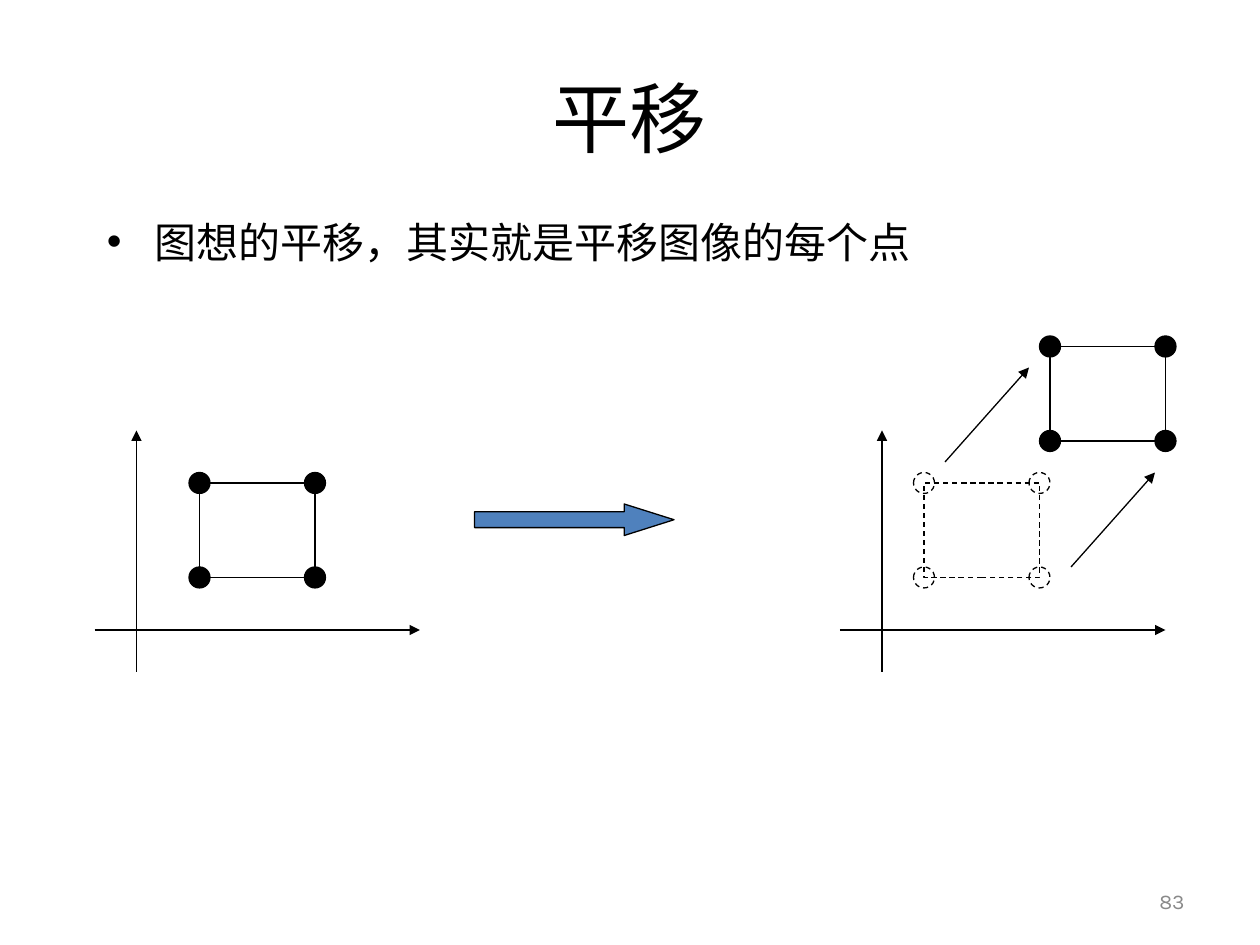
from lxml.etree import SubElement
from pptx import Presentation
from pptx.dml.color import RGBColor
from pptx.enum.dml import MSO_LINE
from pptx.enum.shapes import MSO_CONNECTOR, MSO_SHAPE
from pptx.enum.text import MSO_ANCHOR, PP_ALIGN
from pptx.oxml.ns import qn
from pptx.util import Inches, Pt

BLACK = RGBColor(0x00, 0x00, 0x00)
BLUE = RGBColor(0x4F, 0x81, 0xBD)
GRAY = RGBColor(0x89, 0x89, 0x89)

prs = Presentation()
prs.slide_width, prs.slide_height = Inches(10), Inches(7.5)
COL = prs.slide_width / 120
ROW = prs.slide_height / 90
s = prs.slides.add_slide(prs.slide_layouts[6])


def grid(x, y, w, h):
    return [round(n) for n in (x * COL, y * ROW, w * COL, h * ROW)]


def add_shape(kind, box, fill=None, dash=None):
    sp = s.shapes.add_shape(kind, *grid(*box))
    sp.shadow.inherit = False
    if fill is None:
        sp.fill.background()
    else:
        sp.fill.solid()
        sp.fill.fore_color.rgb = fill
    sp.line.color.rgb = BLACK
    for name, value in {"width": Pt(0.75), "dash_style": dash}.items():
        setattr(sp.line, name, value)
    return sp


texts = [
    ("83", (86, 83.4, 28, 4.8), MSO_ANCHOR.MIDDLE,
     {"alignment": PP_ALIGN.RIGHT}, {"name": "Karla", "size": Pt(12)}, GRAY),
    ("平移", (6, 3.6, 108, 15), MSO_ANCHOR.MIDDLE,
     {"alignment": PP_ALIGN.CENTER}, {"name": "Calibri", "size": Pt(44)}, BLACK),
    ("图想的平移，其实就是平移图像的每个点", (9, 20, 102, 54), MSO_ANCHOR.TOP,
     {"alignment": PP_ALIGN.LEFT, "space_before": Pt(4.8)},
     {"name": "Calibri", "size": Pt(24)}, BLACK),
]
for text, box, anchor, para, font, color in texts:
    tf = s.shapes.add_textbox(*grid(*box)).text_frame
    for name, value in {"word_wrap": True, "vertical_anchor": anchor}.items():
        setattr(tf, name, value)
    p = tf.paragraphs[0]
    for name, value in para.items():
        setattr(p, name, value)
    r = p.add_run()
    r.text = text
    for name, value in font.items():
        setattr(r.font, name, value)
    r.font.color.rgb = color

pPr = p._p.get_or_add_pPr()
pPr.set("marL", str(Inches(0.38)))
pPr.set("indent", str(-Inches(0.38)))
SubElement(pPr, qn("a:buFont")).set("typeface", "Arial")
SubElement(pPr, qn("a:buChar")).set("char", "•")

arrows = [(90, 44, 98, 35), (102, 54, 110, 45)]
for x, origin in ((9, 13), (80, 84)):
    arrows += [(x, 60, x + 31, 60), (origin, 64, origin, 41)]
for arrow in arrows:
    x1, y1, x2, y2 = grid(*arrow)
    c = s.shapes.add_connector(MSO_CONNECTOR.STRAIGHT, x1, y1, x2, y2)
    c.line.color.rgb = BLACK
    c.line.width = Pt(0.75)
    SubElement(c.line._get_or_add_ln(), qn("a:tailEnd")).set("type", "triangle")
    SubElement(c._element.spPr, qn("a:effectLst"))

W, H, DOT = 11, 9, 2
squares = [(19, 46, BLACK, None), (100, 33, BLACK, None), (88, 46, None, MSO_LINE.DASH)]
for x, y, fill, dash in squares:
    add_shape(MSO_SHAPE.RECTANGLE, (x, y, W, H), dash=dash)
    for dy in (H, 0):
        for dx in (0, W):
            dot = (x + dx - DOT / 2, y + dy - DOT / 2, DOT, DOT)
            add_shape(MSO_SHAPE.OVAL, dot, fill, dash)

sp = add_shape(MSO_SHAPE.RIGHT_ARROW, (45.2, 48, 19, 3), BLUE)
sp.adjustments[0] = 0.5
sp.adjustments[1] = 1.58

prs.save("out.pptx")
